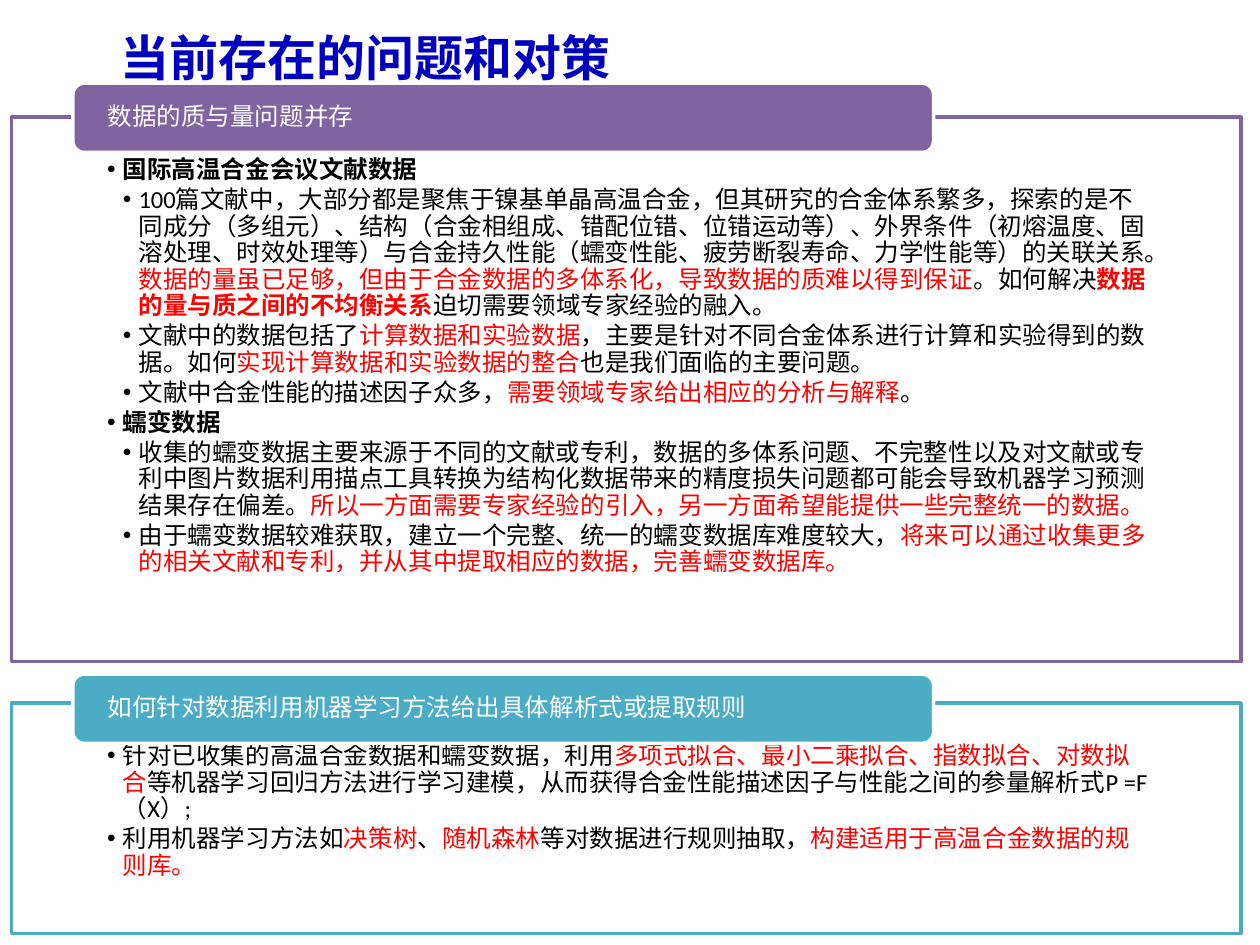
from lxml import etree
from pptx import Presentation
from pptx.dml.color import RGBColor
from pptx.enum.lang import MSO_LANGUAGE_ID
from pptx.enum.shapes import MSO_SHAPE
from pptx.enum.text import MSO_ANCHOR, PP_ALIGN
from pptx.oxml.ns import qn
from pptx.util import Inches, Pt

RECTANGLE = MSO_SHAPE.RECTANGLE
ROUNDED = MSO_SHAPE.ROUNDED_RECTANGLE
TOP, MIDDLE = MSO_ANCHOR.TOP, MSO_ANCHOR.MIDDLE
LEFT = PP_ALIGN.LEFT
CHINESE = MSO_LANGUAGE_ID.SIMPLIFIED_CHINESE

COLORS = {
    "title": "0000BF",
    "purple": "8064A2",
    "teal": "4BACC6",
    "text": "000000",
    "accent": "FF0000",
    "white": "FFFFFF",
}
LATIN_FONT = "Calibri"
CHINESE_FONT = "Noto Sans CJK SC"
STYLES = {
    "title": {"color": "title", "size": 28, "bold": True, "name": CHINESE_FONT},
    "heading": {"color": "white"},
    "plain": {"color": "text"},
    "bold": {"color": "text", "bold": True},
    "red": {"color": "accent"},
    "red bold": {"color": "accent", "bold": True},
}

TITLE = "当前存在的问题和对策"
DATA_ISSUES = [
    (1, [("国际高温合金会议文献数据", "bold")]),
    (2, [
        ("100篇文献中，大部分都是聚焦于镍基单晶高温合金，但其研究的合金体系繁多，"
         "探索的是不同成分（多组元）、结构（合金相组成、错配位错、位错运动等）、"
         "外界条件（初熔温度、固溶处理、时效处理等）与合金持久性能"
         "（蠕变性能、疲劳断裂寿命、力学性能等）的关联关系。", "plain"),
        ("数据的量虽已足够，但由于合金数据的多体系化，导致数据的质难以得到保证", "red"),
        ("。如何解决", "plain"),
        ("数据的量与质之间的不均衡关系", "red bold"),
        ("迫切需要领域专家经验的融入。", "plain"),
    ]),
    (2, [
        ("文献中的数据包括了", "plain"),
        ("计算数据和实验数据", "red"),
        ("，主要是针对不同合金体系进行计算和实验得到的数据。如何", "plain"),
        ("实现计算数据和实验数据的整合", "red"),
        ("也是我们面临的主要问题。", "plain"),
    ]),
    (2, [
        ("文献中合金性能的描述因子众多，", "plain"),
        ("需要领域专家给出相应的分析与解释", "red"),
        ("。", "plain"),
    ]),
    (1, [("蠕变数据", "bold")]),
    (2, [
        ("收集的蠕变数据主要来源于不同的文献或专利，数据的多体系问题、不完整性"
         "以及对文献或专利中图片数据利用描点工具转换为结构化数据带来的精度损失问题"
         "都可能会导致机器学习预测结果存在偏差。", "plain"),
        ("所以一方面需要专家经验的引入，另一方面希望能提供一些完整统一的数据。", "red"),
    ]),
    (2, [
        ("由于蠕变数据较难获取，建立一个完整、统一的蠕变数据库难度较大，", "plain"),
        ("将来可以通过收集更多的相关文献和专利，并从其中提取相应的数据，"
         "完善蠕变数据库。", "red"),
    ]),
]
RULE_METHODS = [
    (1, [
        ("针对已收集的高温合金数据和蠕变数据，利用", "plain"),
        ("多项式拟合、最小二乘拟合、指数拟合、对数拟合", "red"),
        ("等机器学习回归方法进行学习建模，从而获得合金性能描述因子与性能之间的"
         "参量解析式P =F（X）;", "plain"),
    ]),
    (1, [
        ("利用机器学习方法如", "plain"),
        ("决策树", "red"),
        ("、", "plain"),
        ("随机森林", "red"),
        ("等对数据进行规则抽取，", "plain"),
        ("构建适用于高温合金数据的规则库。", "red"),
    ]),
]
SECTIONS = [
    ("数据的质与量问题并存", "purple", DATA_ISSUES, 0.93, 4.32, 0.27),
    ("如何针对数据利用机器学习方法给出具体解析式或提取规则", "teal",
     RULE_METHODS, 5.58, 1.83, 0.23),
]


def rgb(name):
    """Return the named colour."""
    return RGBColor.from_string(COLORS[name])


def set_frame(frame, anchor, left, top, right, bottom):
    """Set wrapping, anchor and insets, given in inches."""
    values = {
        "word_wrap": True,
        "vertical_anchor": anchor,
        "margin_left": Inches(left),
        "margin_top": Inches(top),
        "margin_right": Inches(right),
        "margin_bottom": Inches(bottom),
    }
    for key, value in values.items():
        setattr(frame, key, value)


def add_span(para, text, style):
    """Add a run of text in one of the named styles."""
    span = para.add_run()
    span.text = text
    values = {"size": 14, "bold": False, "name": LATIN_FONT,
              "language_id": CHINESE, **STYLES[style]}
    span.font.color.rgb = rgb(values.pop("color"))
    values["size"] = Pt(values["size"])
    for key, value in values.items():
        setattr(span.font, key, value)
    latin = span.font._element.find(qn("a:latin"))
    latin.addnext(latin.makeelement(qn("a:ea"), {"typeface": CHINESE_FONT}))


def set_bullet(para, level):
    """Give a paragraph a hanging bullet at its level."""
    properties = para._p.get_or_add_pPr()
    properties.set("marL", str(Inches(0.125 * level)))
    properties.set("indent", str(Inches(-0.125)))
    etree.SubElement(properties, qn("a:buFont"), typeface="Arial")
    etree.SubElement(properties, qn("a:buChar"), char="•")
    para.level = level


def add_panel(page, preset, box, fill, line):
    """Add a filled and outlined shape in the given box."""
    shape = page.shapes.add_shape(preset, *map(Inches, box))
    shape.shadow.inherit = False
    shape.fill.solid()
    shape.fill.fore_color.rgb = rgb(fill)
    shape.line.color.rgb = rgb(line)
    shape.line.width = Pt(2)
    return shape


def add_title(page, box):
    """Add the slide title."""
    frame = page.shapes.add_textbox(*map(Inches, box)).text_frame
    set_frame(frame, MIDDLE, 0.1, 0.05, 0.1, 0.05)
    add_span(frame.paragraphs[0], TITLE, "title")


def add_section(page, box, heading, color, items, overlap):
    """Add a bulleted frame with a heading tab rising above its top edge."""
    left, top, width, height = box
    body = add_panel(page, RECTANGLE, box, "white", color)
    solid = body._element.spPr.find(qn("a:solidFill"))
    etree.SubElement(solid[0], qn("a:alpha"), val="90000")
    frame = body.text_frame
    set_frame(frame, TOP, 0.76, 0.32, 0.74, 0.11)
    for index, (level, spans) in enumerate(items):
        para = frame.add_paragraph() if index else frame.paragraphs[0]
        set_bullet(para, level)
        para.alignment = LEFT
        para.line_spacing = 0.9
        para.space_after = Pt(2)
        for text, style in spans:
            add_span(para, text, style)

    tab_box = (left + 0.05 * width, top - overlap, 0.7 * width, 0.55)
    tab = add_panel(page, ROUNDED, tab_box, color, "white")
    set_frame(tab.text_frame, MIDDLE, 0.25, 0, 0.25, 0)
    para = tab.text_frame.paragraphs[0]
    para.alignment = LEFT
    para.line_spacing = 0.9
    add_span(para, heading, "heading")


def main():
    """Build the slide and save it."""
    deck = Presentation()
    deck.slide_width, deck.slide_height = Inches(10), Inches(7.5)
    page = deck.slides.add_slide(deck.slide_layouts[6])
    add_title(page, (0.86, 0.02, 9, 0.87))
    for heading, color, items, top, height, overlap in SECTIONS:
        box = (0.09, top, 9.76, height)
        add_section(page, box, heading, color, items, overlap)
    deck.save("out.pptx")


if __name__ == "__main__":
    main()
